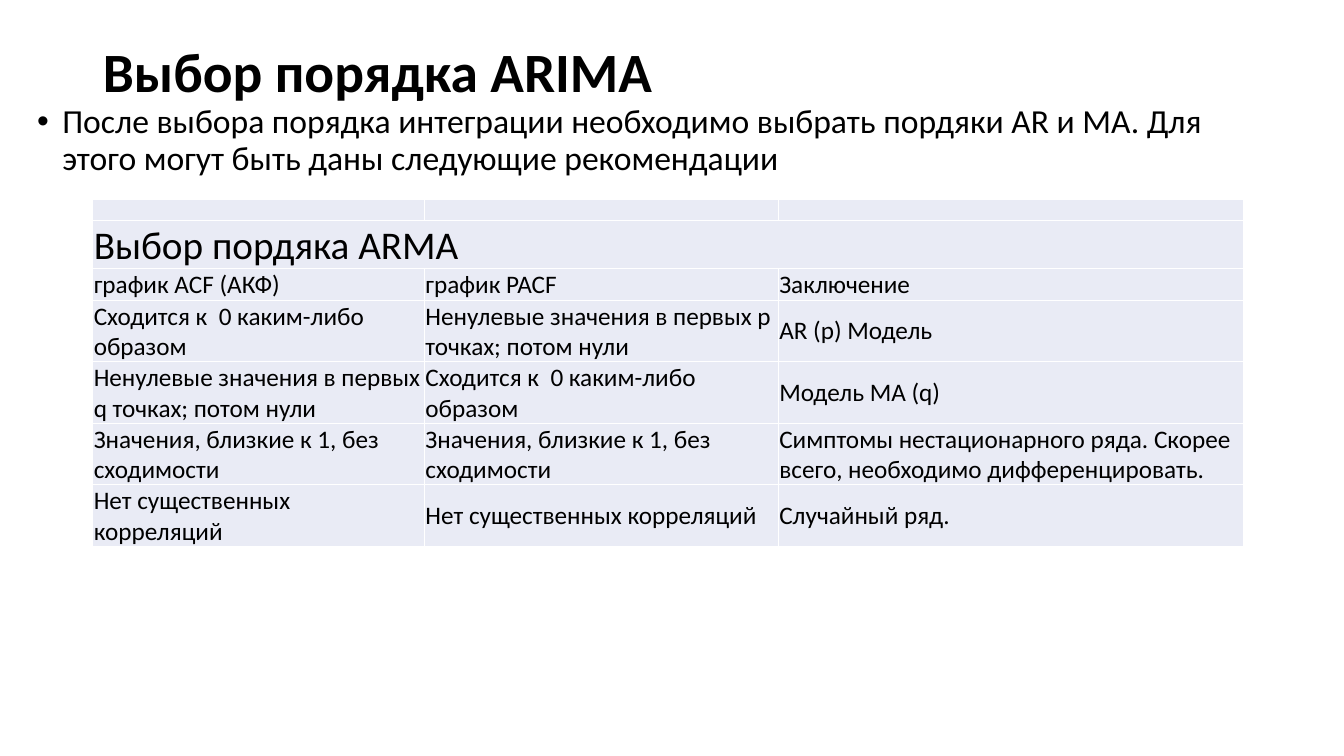
from pptx import Presentation
from pptx.dml.color import RGBColor
from pptx.enum import text as t
from pptx.oxml import parse_xml
from pptx.oxml.ns import nsdecls
from pptx.util import Pt

PX = 9144  # 100 px to the inch
FONT = "Calibri"
COLS = [329, 351, 461]
ROWS = [21, 21, 21, 33, 33, 33, 21]
FADE = "Сходится к  0 каким-либо образом"
NEAR = "Значения, близкие к 1, без сходимости"
NONE = "Нет существенных корреляций"
CUT = "Ненулевые значения в первых {} точках; потом нули"
CELLS = [
    ["", "", ""],
    ["Выбор пордяка ARMA", "", ""],
    ["график ACF (АКФ)", "график PACF", "Заключение"],
    [FADE, CUT.format("p"), "AR (p) Модель"],
    [CUT.format("q"), FADE, "Модель MA (q)"],
    [NEAR, NEAR, "Симптомы нестационарного ряда. Скорее всего, необходимо дифференцировать."],
    [NONE, NONE, "Случайный ряд."],
]


def px(*vals):
    return [v * PX for v in vals]


def color(code):
    return RGBColor.from_string(code)


def write(frame, words, size=18, bold=False, line=None, bullet=False):
    frame.word_wrap = True
    para = frame.paragraphs[0]
    para.alignment = t.PP_ALIGN.LEFT
    if line:
        para.line_spacing = line
    if bullet:
        props = para._p.get_or_add_pPr()
        props.set("marL", str(25 * PX))
        props.set("indent", str(-25 * PX))
        props.append(parse_xml(f'<a:buFont {nsdecls("a")} typeface="Arial"/>'))
        props.append(parse_xml(f'<a:buChar {nsdecls("a")} char="•"/>'))
    if not words:
        para._p.append(parse_xml(f'<a:endParaRPr {nsdecls("a")} sz="{size * 100}"/>'))
        return
    run = para.add_run()
    run.text = words
    font = run.font
    font.name, font.size, font.bold = FONT, Pt(size), bold
    font.color.rgb = color("000000")


def border(cell, code):
    props = cell._tc.get_or_add_tcPr()
    for side in "LRTB":
        props.append(parse_xml(
            f'<a:ln{side} {nsdecls("a")} w="{Pt(1)}"><a:solidFill>'
            f'<a:srgbClr val="{code}"/></a:solidFill></a:ln{side}>'))


def title(slide, box):
    shape = slide.shapes.title
    shape.left, shape.top, shape.width, shape.height = px(*box)
    frame = shape.text_frame
    frame.auto_size = t.MSO_AUTO_SIZE.NONE
    frame.vertical_anchor = t.MSO_ANCHOR.MIDDLE
    write(frame, "Выбор порядка ARIMA", size=39.6, bold=True, line=0.9)


def body(slide, box):
    frame = slide.shapes.add_textbox(*px(*box)).text_frame
    write(frame, "После выбора порядка интеграции необходимо выбрать пордяки AR и MA. "
          "Для этого могут быть даны следующие рекомендации",
          size=24, line=0.9, bullet=True)


def table(slide, left, top):
    box = px(left, top, sum(COLS), sum(ROWS))
    grid = slide.shapes.add_table(len(ROWS), len(COLS), *box).table
    grid.first_row = grid.horz_banding = False
    for col, wide in zip(grid.columns, COLS):
        col.width = wide * PX
    for row, high, words in zip(grid.rows, ROWS, CELLS):
        row.height = high * PX
        for cell, word in zip(row.cells, words):
            cell.margin_left = cell.margin_right = cell.margin_top = PX
            cell.margin_bottom = 0
            cell.vertical_anchor = t.MSO_ANCHOR.MIDDLE
            border(cell, "FFFFFF")
            cell.fill.solid()
            cell.fill.fore_color.rgb = color("E9EBF5")
            size = 28 if words is CELLS[1] else 18
            write(cell.text_frame, word, size=size if word else 10)
    grid.cell(1, 0).merge(grid.cell(1, 2))


def main():
    deck = Presentation()
    deck.slide_width, deck.slide_height = px(1333, 750)
    slide = deck.slides.add_slide(deck.slide_layouts[5])
    title(slide, (92, 40, 1150, 67))
    body(slide, (27, 99, 1243, 640))
    table(slide, 92, 198)
    deck.save("out.pptx")


if __name__ == "__main__":
    main()
